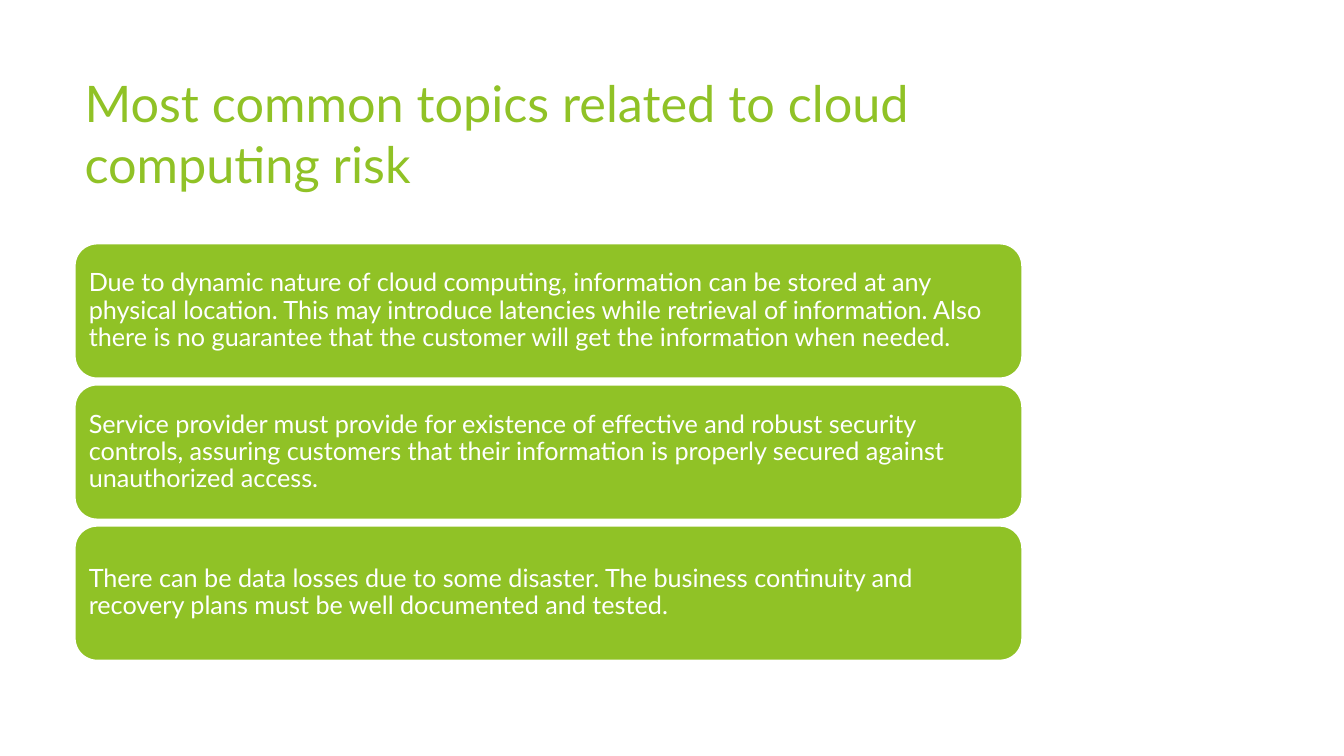
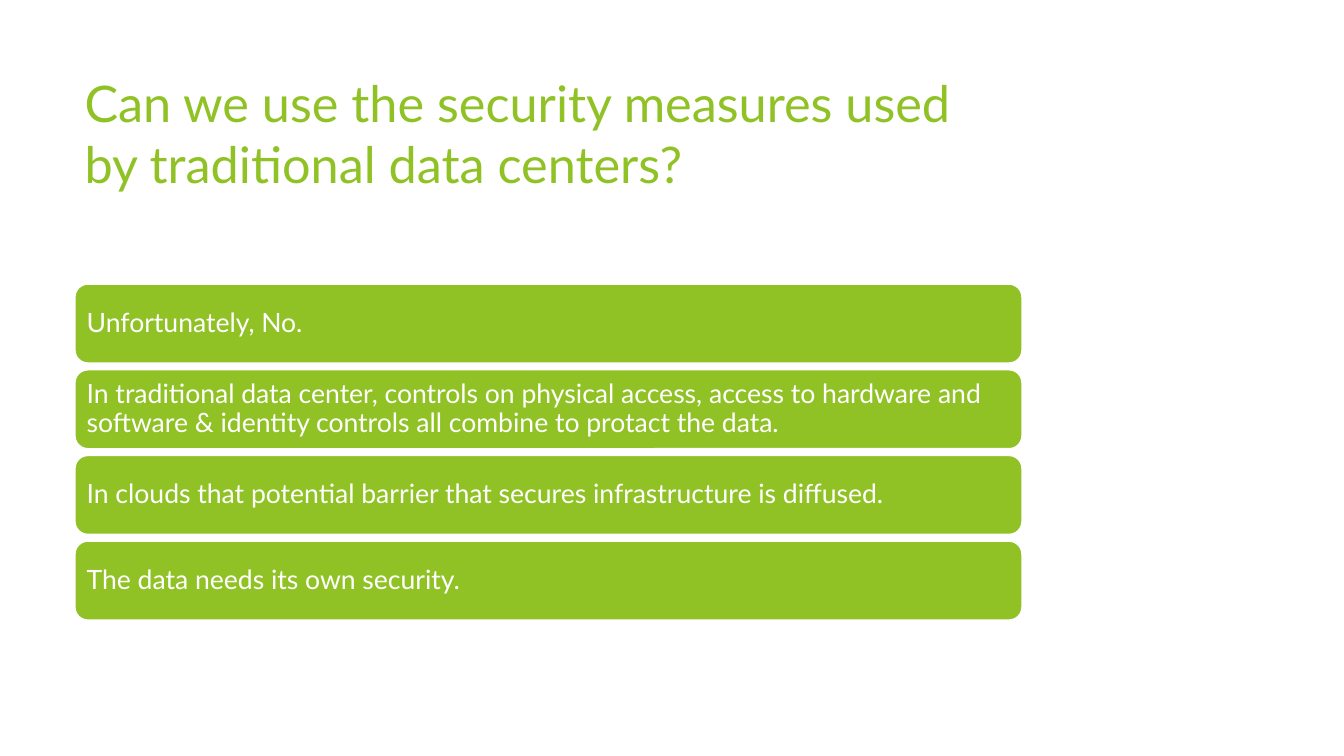
from dataclasses import dataclass

from pptx import Presentation
from pptx.dml.color import RGBColor as RGB
from pptx.enum.shapes import MSO_SHAPE as Shape
from pptx.enum.text import MSO_ANCHOR as Anchor, PP_ALIGN as Align
from pptx.util import Inches, Pt


@dataclass(frozen=True)
class Theme:
    font: str = "Lato"
    green: RGB = RGB(0x90, 0xC2, 0x26)
    white: RGB = RGB(0xFF, 0xFF, 0xFF)
    title: float = 36
    edge: float = 1.5
    gap: float = 0.06
    curve: float = 1 / 6
    inset: float = 0.29


@dataclass(frozen=True)
class Box:
    left: float
    top: float
    width: float
    height: float

    def place(self):
        return [Inches(n) for n in (self.left, self.top, self.width, self.height)]


@dataclass(frozen=True)
class Page:
    title: str
    cards: tuple
    height: float
    pad: float
    size: float


THEME = Theme()
HEAD = Box(0.74, 0.67, 9.4, 1.44)
BODY = Box(0.74, 2.16, 9.4, 4.65)

PAGES = (
    Page(
        "Most common topics related to cloud computing risk",
        (
            "Due to dynamic nature of cloud computing, information can be stored at any "
            "physical location. This may introduce latencies while retrieval of information. "
            "Also there is no guarantee that the customer will get the information when needed.",
            "Service provider must provide for existence of effective and robust security "
            "controls, assuring customers that their information is properly secured against "
            "unauthorized access.",
            "There can be data losses due to some disaster. The business continuity and "
            "recovery plans must be well documented and tested.",
        ),
        height=1.34, pad=0.14, size=18,
    ),
    Page(
        "Can we use the security measures used by traditional data centers?",
        (
            "Unfortunately, No.",
            "In traditional data center, controls on physical access, access to hardware and "
            "software & identity controls all combine to protact the data.",
            "In clouds that potential barrier that secures infrastructure is diffused.",
            "The data needs its own security.",
        ),
        height=0.79, pad=0.12, size=19,
    ),
)


def write(frame, text, size, color):
    frame.word_wrap = True
    para = frame.paragraphs[0]
    para.text = text
    para.alignment = Align.LEFT
    para.font.name = THEME.font
    para.font.size = Pt(size)
    para.font.color.rgb = color
    return para


def add_title(slide, box, text):
    frame = slide.shapes.add_textbox(*box.place()).text_frame
    frame.vertical_anchor = Anchor.TOP
    write(frame, text, THEME.title, THEME.green)


def add_card(slide, box, text, pad, size):
    card = slide.shapes.add_shape(Shape.ROUNDED_RECTANGLE, *box.place())
    card.adjustments[0] = THEME.curve
    card.shadow.inherit = False
    card.fill.solid()
    card.fill.fore_color.rgb = THEME.green
    card.line.color.rgb = THEME.white
    card.line.width = Pt(THEME.edge)
    frame = card.text_frame
    frame.vertical_anchor = Anchor.MIDDLE
    space = Inches(pad - box.height * THEME.curve * THEME.inset)
    frame.margin_left = frame.margin_right = space
    frame.margin_top = frame.margin_bottom = space
    para = write(frame, text, size, THEME.white)
    para.line_spacing = 0.9
    para.space_after = Pt(8)


def add_stack(slide, box, page):
    step = page.height + THEME.gap
    total = len(page.cards) * step - THEME.gap
    top = box.top + (box.height - total) / 2
    for row, text in enumerate(page.cards):
        spot = Box(box.left, top + row * step, box.width, page.height)
        add_card(slide, spot, text, page.pad, page.size)


def main():
    deck = Presentation()
    deck.slide_width = Inches(13.33)
    deck.slide_height = Inches(7.5)
    for page in PAGES:
        slide = deck.slides.add_slide(deck.slide_layouts[6])
        add_title(slide, HEAD, page.title)
        add_stack(slide, BODY, page)
    deck.save("out.pptx")


if __name__ == "__main__":
    main()
